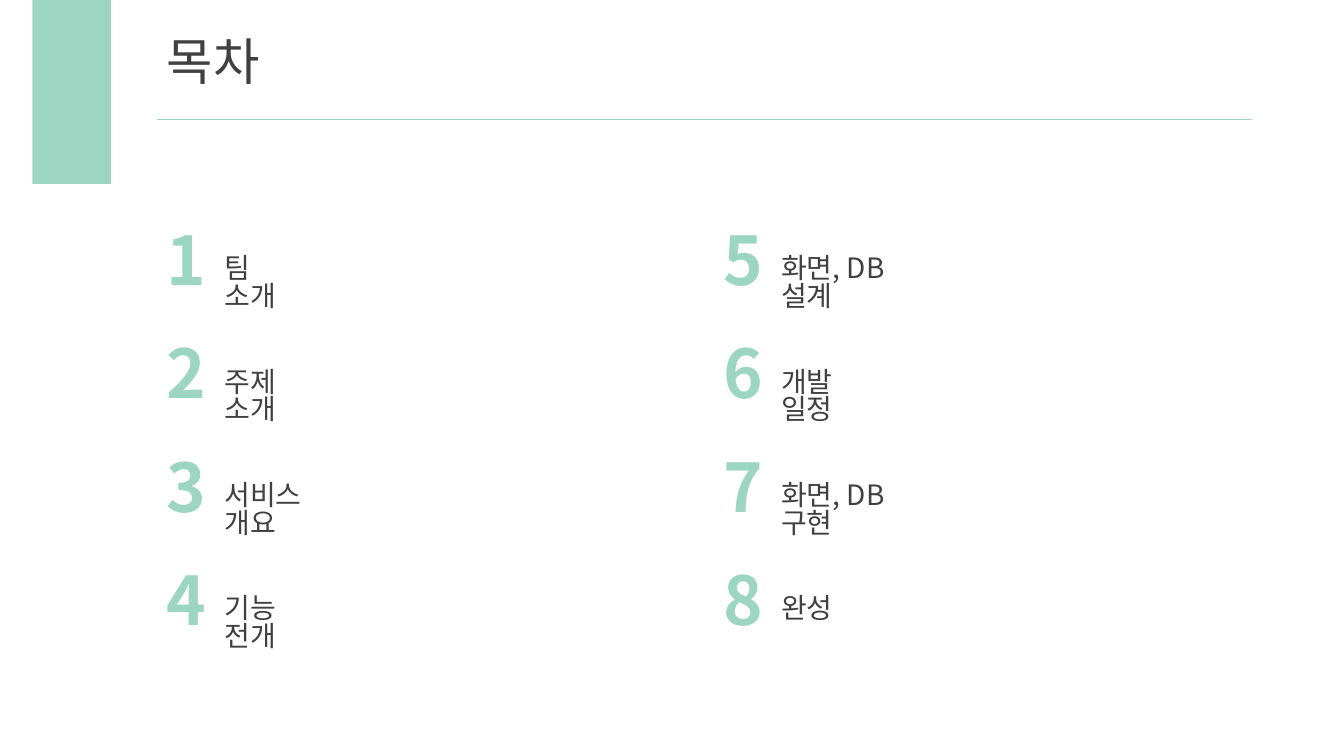
from dataclasses import dataclass

from pptx import Presentation
from pptx.dml.color import RGBColor
from pptx.enum.shapes import MSO_CONNECTOR, MSO_SHAPE
from pptx.oxml.ns import qn
from pptx.util import Inches, Pt

RECT = MSO_SHAPE.RECTANGLE
STRAIGHT = MSO_CONNECTOR.STRAIGHT


@dataclass(frozen=True)
class Theme:
    font: str = "Noto Sans CJK KR"
    accent: str = "9CD5C2"
    ink: str = "404040"
    title: int = 36
    number: int = 48
    label: int = 20
    leading: float = 0.83
    rule: float = 0.5


class Deck:
    """Draws styled elements on a grid of 120 columns by 60 rows."""

    def __init__(self, prs, theme):
        self.theme = theme
        self.col = prs.slide_width / 120
        self.row = prs.slide_height / 60
        self.s = prs.slides.add_slide(prs.slide_layouts[6])

    def box(self, x, y, w, h):
        return (round(x * self.col), round(y * self.row),
                round(w * self.col), round(h * self.row))

    def bar(self, x, y, w, h):
        sp = self.s.shapes.add_shape(RECT, *self.box(x, y, w, h))
        sp.shadow.inherit = False
        sp.fill.solid()
        sp.fill.fore_color.rgb = RGBColor.from_string(self.theme.accent)
        sp.line.fill.background()

    def rule(self, x, y, w):
        left, top, width, _ = self.box(x, y, w, 0)
        ln = self.s.shapes.add_connector(STRAIGHT, left, top, left + width, top)
        ln.line.color.rgb = RGBColor.from_string(self.theme.accent)
        ln.line.width = Pt(self.theme.rule)
        sp_pr = ln._element.spPr
        sp_pr.append(sp_pr.makeelement(qn("a:effectLst"), {}))

    def text(self, lines, x, y, w, h, size, color, bold=False, wrap=False):
        tf = self.s.shapes.add_textbox(*self.box(x, y, w, h)).text_frame
        tf.word_wrap = wrap
        p = tf.paragraphs[0]
        p.line_spacing = self.theme.leading
        for i, line in enumerate(lines):
            if i:
                p.add_line_break()
            r = p.add_run()
            r.text = line
            r.font.name = self.theme.font
            r.font.size = Pt(size)
            r.font.bold = bold
            r.font.color.rgb = RGBColor.from_string(color)
            fonts = r._r.get_or_add_rPr()
            ea = fonts.makeelement(qn("a:ea"), {"typeface": self.theme.font})
            fonts.find(qn("a:latin")).addnext(ea)

    def entry(self, number, lines, x, y, w):
        t = self.theme
        self.text([str(number)], x, y, 5.5, 7.3, t.number, t.accent, bold=True)
        self.text(lines, x + 5.15, y + 1.95, w, 3.5, t.label, t.ink, wrap=True)


def main():
    prs = Presentation()
    prs.slide_width, prs.slide_height = Inches(13.33), Inches(7.5)
    theme = Theme()
    deck = Deck(prs, theme)
    deck.rule(14, 9.5, 97.8)
    deck.bar(2.9, 0, 7, 14.6)
    deck.text(["목차"], 14, 2.8, 10.2, 5.7, theme.title, theme.ink)

    contents = [
        (["팀", "소개"], 9.4), (["주제", "소개"], 11.7),
        (["서비스", "개요"], 14), (["기능", "전개"], 11.7),
        (["화면, DB", "설계"], 16.5), (["개발", "일정"], 11.7),
        (["화면, DB", "구현"], 16.5), (["완성"], 6.5),
    ]
    for i, (lines, width) in enumerate(contents):
        column, row = divmod(i, 4)
        deck.entry(i + 1, lines, 14 + 49.7 * column, 18 + 9 * row, width)
    prs.save("out.pptx")


if __name__ == "__main__":
    main()
